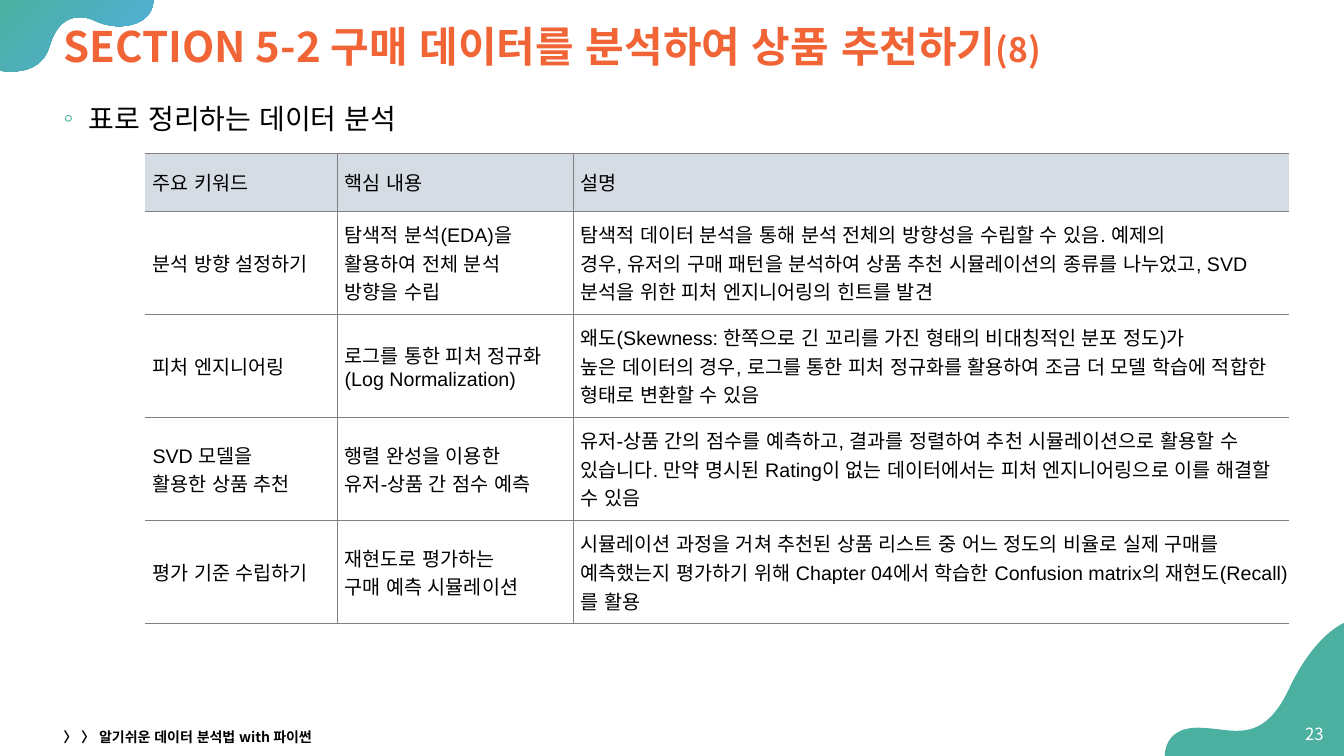
from dataclasses import dataclass

from lxml.etree import SubElement
from pptx import Presentation
from pptx.dml.color import RGBColor
from pptx.enum.text import MSO_ANCHOR as ANCHOR, MSO_AUTO_SIZE as AUTO, PP_ALIGN as ALIGN
from pptx.oxml.ns import qn
from pptx.util import Pt

SANS, BODY = "Noto Sans CJK KR", "Arial"
TEAL, BLUE, ORANGE = "4BB0A0", "52AEE1", "F06436"
BLACK, WHITE, GREY, HEADER = "000000", "FFFFFF", "808080", "D6DCE4"


@dataclass
class Blob:
    """A curved corner decoration, closed through the slide corner."""
    start: tuple
    curves: list
    corner: tuple
    colors: tuple


BLOBS = [
    Blob((0, 50.4), [
        (0, 50.4, 2.9, 51.1, 7.9, 51.1),
        (17.3, 51.1, 31, 48.2, 35.3, 33.1),
        (40.3, 16.6, 49, 12.2, 56.9, 12.2),
        (60.5, 12.2, 63.4, 13, 67, 14.4),
        (72.7, 17.3, 79.2, 18.7, 85, 18.7),
        (98.6, 18.7, 109.5, 12.2, 109.5, 0),
    ], (0, 0), (TEAL, BLUE)),
    Blob((960, 445), [
        (960, 445, 938.9, 452.9, 920.2, 493.2),
        (908.6, 517, 896.4, 522, 883.4, 522),
        (874.8, 522, 865.4, 519.8, 855.4, 519.8),
        (831, 519.8, 832, 540, 832, 540),
    ], (960, 540), (TEAL,)),
]

COL_WIDTHS = [137.2, 168.5, 511.4]
HEAD_HEIGHT, ROW_HEIGHT = 41.3, 73.6
# "\n" starts a paragraph, "\v" breaks a line inside one
ROWS = [
    ("주요 키워드", "핵심 내용", "설명"),
    ("분석 방향 설정하기", "탐색적 분석(EDA)을\n활용하여 전체 분석\n방향을 수립",
     "탐색적 데이터 분석을 통해 분석 전체의 방향성을 수립할 수 있음. 예제의 \v"
     "경우, 유저의 구매 패턴을 분석하여 상품 추천 시뮬레이션의 종류를 나누었고, "
     "SVD 분석을 위한 피처 엔지니어링의 힌트를 발견"),
    ("피처 엔지니어링", "로그를 통한 피처 정규화\n(Log Normalization)",
     "왜도(Skewness: 한쪽으로 긴 꼬리를 가진 형태의 비대칭적인 분포 정도)가 \v"
     "높은 데이터의 경우, 로그를 통한 피처 정규화를 활용하여 조금 더 모델 학습에 "
     "적합한 형태로 변환할 수 있음"),
    ("SVD 모델을\n활용한 상품 추천", "행렬 완성을 이용한\n유저-상품 간 점수 예측",
     "유저-상품 간의 점수를 예측하고, 결과를 정렬하여 추천 시뮬레이션으로 활용할 수 "
     "있습니다. 만약 명시된 Rating이 없는 데이터에서는 피처 엔지니어링으로 이를 "
     "해결할 수 있음"),
    ("평가 기준 수립하기", "재현도로 평가하는\n구매 예측 시뮬레이션",
     "시뮬레이션 과정을 거쳐 추천된 상품 리스트 중 어느 정도의 비율로 실제 구매를 "
     "예측했는지 평가하기 위해 Chapter 04에서 학습한 Confusion matrix의 "
     "재현도(Recall)를 활용"),
]


def rgb(color: str) -> RGBColor:
    """Turn a hex string into a colour."""
    return RGBColor.from_string(color)


def add_run(p, text: str, *, size: float, font=BODY, color=BLACK, bold=False):
    """Append a formatted, unkerned run, with Korean glyphs in the sans font."""
    r = p.add_run()
    r.text = text
    r.font.size, r.font.name, r.font.bold = Pt(size), font, bold
    r.font.color.rgb = rgb(color)
    rPr = r.font._element
    rPr.set("kern", "0")
    rPr.set("lang", "ko-KR")
    SubElement(rPr, qn("a:ea"), typeface=SANS)


def write(tf, text: str, *, align=ALIGN.LEFT, spacing=1.0, before=0, **fmt):
    """Fill an empty text frame and return its last paragraph."""
    for i, para in enumerate(text.split("\n")):
        p = tf.add_paragraph() if i else tf.paragraphs[0]
        p.alignment, p.line_spacing, p.space_before = align, spacing, Pt(before)
        for j, line in enumerate(para.split("\v")):
            if j:
                p.add_line_break()
            add_run(p, line, **fmt)
    return p


def place(sp, left: float, top: float, width: float, height: float, anchor):
    """Position a text shape and return its text frame."""
    sp.left, sp.top, sp.width, sp.height = map(Pt, (left, top, width, height))
    tf = sp.text_frame
    tf.word_wrap, tf.auto_size, tf.vertical_anchor = True, AUTO.NONE, anchor
    return tf


def add_text(s, text: str, box: tuple, **fmt):
    """Add a vertically centred text box."""
    write(place(s.shapes.add_textbox(0, 0, 0, 0), *box, ANCHOR.MIDDLE), text, **fmt)


def bend(sp, curves: list):
    """Turn the first segments of a freeform into cubic Bezier curves."""
    for line, curve in zip(list(sp._element.iter(qn("a:lnTo"))), curves):
        bezier = line.makeelement(qn("a:cubicBezTo"))
        for x, y in zip(curve[::2], curve[1::2]):
            SubElement(bezier, qn("a:pt"), x=str(Pt(x) - sp.left), y=str(Pt(y) - sp.top))
        line.getparent().replace(line, bezier)


def add_blob(s, blob: Blob, depth: int):
    """Draw a corner decoration behind the placeholders."""
    fb = s.shapes.build_freeform(*map(Pt, blob.start))
    corners = [curve[-2:] for curve in blob.curves] + [blob.corner]
    fb.add_line_segments([(Pt(x), Pt(y)) for x, y in corners], close=True)
    sp = fb.convert_to_shape()
    bend(sp, blob.curves)
    sp.shadow.inherit = False
    sp.line.fill.background()
    if len(blob.colors) > 1:
        sp.fill.gradient()
        sp.fill.gradient_angle = 315
        for stop, color in zip(sp.fill.gradient_stops, blob.colors):
            stop.color.rgb = rgb(color)
    else:
        sp.fill.solid()
        sp.fill.fore_color.rgb = rgb(blob.colors[0])
    s.shapes._spTree.insert(2 + depth, sp._element)


def add_border(cell, side: str, visible: bool):
    """Set one cell border (L, R, T or B)."""
    ln = SubElement(cell._tc.get_or_add_tcPr(), qn(f"a:ln{side}"), w=str(Pt(0.5)))
    if visible:
        fill = SubElement(ln, qn("a:solidFill"))
        SubElement(fill, qn("a:srgbClr"), val=GREY)
    else:
        SubElement(ln, qn("a:noFill"))


def add_keyword_table(s, left: float, top: float):
    """Add the keyword table with open left and right edges."""
    heights = [HEAD_HEIGHT] + [ROW_HEIGHT] * (len(ROWS) - 1)
    table = s.shapes.add_table(len(ROWS), len(COL_WIDTHS), Pt(left), Pt(top),
                               Pt(sum(COL_WIDTHS)), Pt(sum(heights))).table
    table.first_row = table.horz_banding = False
    for col, width in zip(table.columns, COL_WIDTHS):
        col.width = Pt(width)
    for i, (texts, height) in enumerate(zip(ROWS, heights)):
        table.rows[i].height = Pt(height)
        for j, text in enumerate(texts):
            cell = table.cell(i, j)
            cell.vertical_anchor = ANCHOR.MIDDLE
            cell.margin_left, cell.margin_right = Pt(5.4), Pt(0.5)
            cell.margin_top, cell.margin_bottom = Pt(0.5), 0
            for side in "LRTB":
                outer = (side, j) in (("L", 0), ("R", len(texts) - 1))
                add_border(cell, side, not outer)
            if i:
                cell.fill.background()
            else:
                cell.fill.solid()
                cell.fill.fore_color.rgb = rgb(HEADER)
            write(cell.text_frame, text, size=14)


prs = Presentation()
prs.slide_width, prs.slide_height = Pt(960), Pt(540)
s = prs.slides.add_slide(prs.slide_layouts[1])
title, body = s.placeholders
for depth, blob in enumerate(BLOBS):
    add_blob(s, blob, depth)

heading = dict(font=SANS, color=ORANGE, bold=True)
p = write(place(title, 38.2, 8.6, 888.5, 52.6, ANCHOR.MIDDLE),
          "SECTION 5-2 구매 데이터를 분석하여 상품 추천하기", size=30, spacing=0.9, **heading)
add_run(p, "(8)", size=24, **heading)

p = write(place(body, 38.2, 64, 888.5, 425, ANCHOR.TOP),
          "표로 정리하는 데이터 분석", size=20, spacing=1.2, before=10)
pPr = p._p.get_or_add_pPr()
pPr.set("marL", str(Pt(18)))
pPr.set("indent", str(Pt(-18)))
SubElement(SubElement(pPr, qn("a:buClr")), qn("a:srgbClr"), val=TEAL)
SubElement(pPr, qn("a:buChar"), char="◦")

add_text(s, "23", (921, 510, 31.7, 28.8), size=12, font=SANS, color=WHITE, align=ALIGN.RIGHT)
add_text(s, "〉 〉 알기쉬운 데이터 분석법 with 파이썬", (38.2, 517.7, 324, 17.3),
         size=10, font=SANS, bold=True)
add_keyword_table(s, 103.6, 109.4)
prs.save("out.pptx")
